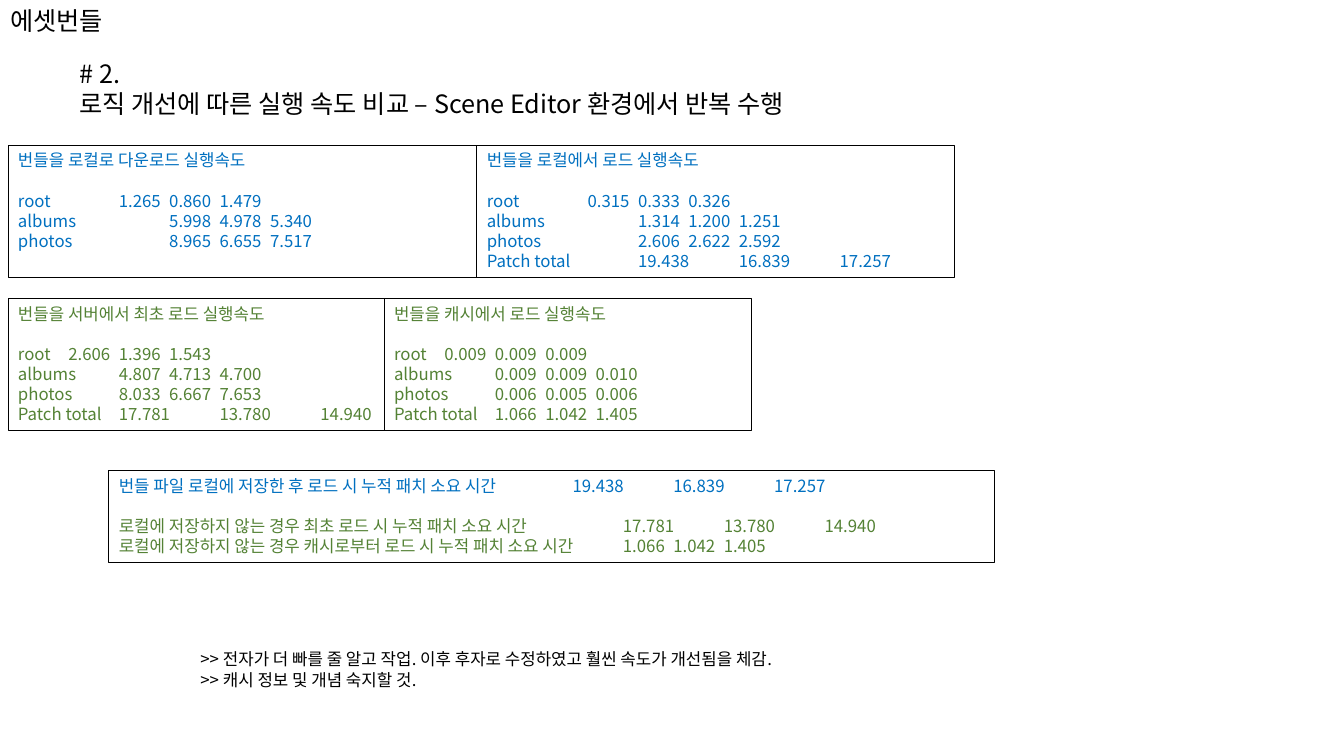
from collections import namedtuple
from dataclasses import dataclass

from lxml.etree import SubElement
from pptx import Presentation
from pptx.dml.color import RGBColor
from pptx.enum.shapes import MSO_SHAPE as Shape
from pptx.enum.text import MSO_ANCHOR as Anchor, MSO_AUTO_SIZE as AutoSize, PP_ALIGN as Align
from pptx.oxml.ns import qn
from pptx.util import Inches, Pt

Box = namedtuple("Box", "left top width height")


@dataclass(frozen=True)
class Theme:
    font: str = "Noto Sans CJK KR"
    ink: str = "000000"
    local: str = "0070C0"
    remote: str = "548235"
    heading: int = 18
    body: int = 12
    leading: float = 1.2
    outline: float = 0.75


THEME = Theme()

DOWNLOAD = [
    ("root", "1.265", "0.860", "1.479"),
    ("albums", "5.998", "4.978", "5.340"),
    ("photos", "8.965", "6.655", "7.517"),
]
LOCAL_LOAD = [
    ("root", "0.315", "0.333", "0.326"),
    ("albums", "1.314", "1.200", "1.251"),
    ("photos", "2.606", "2.622", "2.592"),
    ("Patch total", "19.438", "16.839", "17.257"),
]
SERVER_LOAD = [
    ("root", "2.606", "1.396", "1.543"),
    ("albums", "4.807", "4.713", "4.700"),
    ("photos", "8.033", "6.667", "7.653"),
    ("Patch total", "17.781", "13.780", "14.940"),
]
CACHE_LOAD = [
    ("root", "0.009", "0.009", "0.009"),
    ("albums", "0.009", "0.009", "0.010"),
    ("photos", "0.006", "0.005", "0.006"),
    ("Patch total", "1.066", "1.042", "1.405"),
]


def write(shape, lines, size=THEME.body, colour=THEME.ink, gap_after_first=False):
    frame = shape.text_frame
    frame.word_wrap = True
    frame.auto_size = AutoSize.NONE
    frame.vertical_anchor = Anchor.TOP
    frame.margin_left = Inches(0.1)
    frame.margin_right = 0
    frame.margin_top = frame.margin_bottom = Inches(0.05)
    for index, line in enumerate(lines):
        text, line_colour = line if isinstance(line, tuple) else (line, colour)
        para = frame.paragraphs[0] if index == 0 else frame.add_paragraph()
        para.alignment = Align.LEFT
        para.line_spacing = Pt(size * THEME.leading)
        para.space_before = Pt(size * THEME.leading if gap_after_first and index == 1 else 0)
        span = para.add_run()
        span.text = text
        span.font.size = Pt(size)
        span.font.name = THEME.font
        span.font.color.rgb = RGBColor.from_string(line_colour)
        SubElement(span.font._element, qn("a:ea"), typeface=THEME.font)


def add_title(page, box, text):
    title = page.shapes.title
    title.left, title.top, title.width, title.height = map(Inches, box)
    write(title, [text], size=THEME.heading)


def add_text(page, box, lines, **style):
    write(page.shapes.add_textbox(*map(Inches, box)), lines, **style)


def add_panel(page, box, lines, **style):
    panel = page.shapes.add_shape(Shape.RECTANGLE, *map(Inches, box))
    panel.shadow.inherit = False
    panel.fill.background()
    panel.line.color.rgb = RGBColor.from_string(THEME.ink)
    panel.line.width = Pt(THEME.outline)
    write(panel, lines, gap_after_first=True, **style)


def add_timing_pair(page, box, split, tables, colour, label_tabs):
    lefts = (box.left, box.left + split)
    widths = (split, box.width - split)
    for left, width, (heading, rows) in zip(lefts, widths, tables):
        lines = [label + "\t" * label_tabs + "\t".join(times) for label, *times in rows]
        add_panel(page, Box(left, box.top, width, box.height), [heading, *lines], colour=colour)


def add_summary(page, box):
    rows = [
        ("번들 파일 로컬에 저장한 후 로드 시 누적 패치 소요 시간", 2, LOCAL_LOAD, THEME.local),
        ("로컬에 저장하지 않는 경우 최초 로드 시 누적 패치 소요 시간", 2, SERVER_LOAD, THEME.remote),
        ("로컬에 저장하지 않는 경우 캐시로부터 로드 시 누적 패치 소요 시간", 1, CACHE_LOAD, THEME.remote),
    ]
    lines = [
        (label + "\t" * tabs + "\t".join(timings[-1][1:]), colour)
        for label, tabs, timings, colour in rows
    ]
    add_panel(page, box, lines)


def build_page(deck):
    page = deck.slides.add_slide(deck.slide_layouts[5])
    add_title(page, Box(0, 0, 7.54, 0.4), "에셋번들")
    add_text(
        page,
        Box(0.69, 0.53, 10.18, 0.71),
        ["# 2.", "로직 개선에 따른 실행 속도 비교 – Scene Editor 환경에서 반복 수행"],
        size=THEME.heading,
    )
    add_timing_pair(
        page,
        Box(0.08, 1.44, 9.39, 1.31),
        4.65,
        [("번들을 로컬로 다운로드 실행속도", DOWNLOAD), ("번들을 로컬에서 로드 실행속도", LOCAL_LOAD)],
        THEME.local,
        label_tabs=2,
    )
    add_timing_pair(
        page,
        Box(0.08, 2.96, 7.37, 1.31),
        3.73,
        [("번들을 서버에서 최초 로드 실행속도", SERVER_LOAD), ("번들을 캐시에서 로드 실행속도", CACHE_LOAD)],
        THEME.remote,
        label_tabs=1,
    )
    add_summary(page, Box(1.08, 4.67, 8.78, 0.91))
    add_text(
        page,
        Box(1.89, 6.39, 6.67, 0.71),
        [
            ">> 전자가 더 빠를 줄 알고 작업. 이후 후자로 수정하였고 훨씬 속도가 개선됨을 체감.",
            ">> 캐시 정보 및 개념 숙지할 것.",
        ],
    )


def main():
    deck = Presentation()
    deck.slide_width, deck.slide_height = Inches(13.33), Inches(7.5)
    build_page(deck)
    deck.save("out.pptx")


if __name__ == "__main__":
    main()
